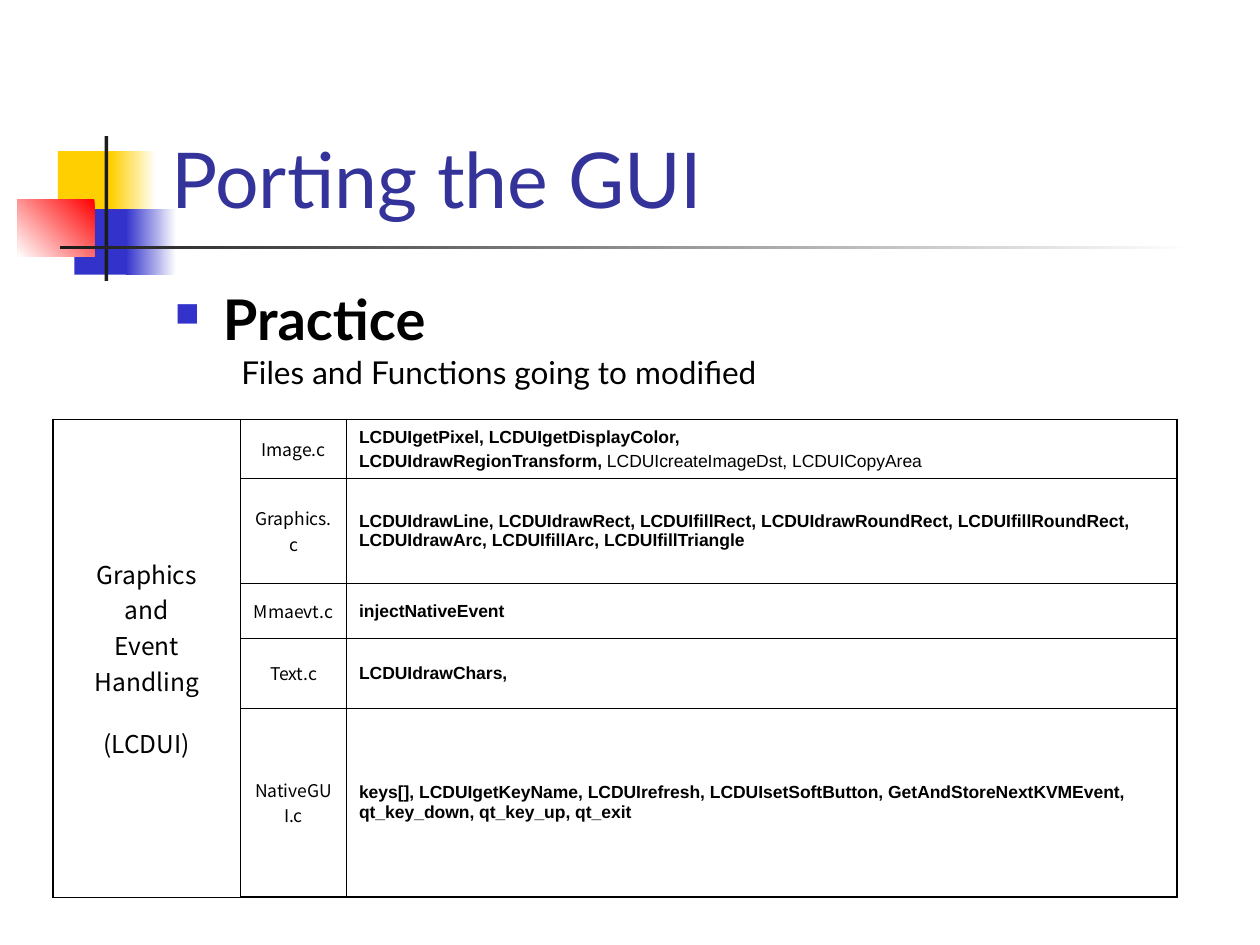
from collections import namedtuple

from lxml.etree import SubElement
from pptx import Presentation
from pptx.dml.color import RGBColor
from pptx.enum.shapes import MSO_SHAPE as Shape
from pptx.enum.text import MSO_ANCHOR as Anchor, MSO_AUTO_SIZE as AutoSize, PP_ALIGN as Align
from pptx.oxml.ns import qn
from pptx.util import Inches, Pt

WHITE = RGBColor(0xFF, 0xFF, 0xFF)
BLACK = RGBColor(0x00, 0x00, 0x00)
YELLOW = RGBColor(0xFF, 0xCF, 0x01)
BLUE = RGBColor(0x33, 0x33, 0xCC)
RED = RGBColor(0xFF, 0x00, 0x00)
CHARCOAL = RGBColor(0x1C, 0x1C, 0x1C)
INDIGO = RGBColor(0x33, 0x33, 0x99)

HEADING_FONT, FILE_FONT, CODE_FONT = "Lato", "Noto Sans CJK KR", "Arial"
CELL = Inches(0.1)
THIN, THICK = Pt(0.45), Pt(1.08)
Box = namedtuple("Box", "left top width height")

ORNAMENT = [
    (Box(3.2, 1.2, 4.8, 5.2), YELLOW, None),
    (Box(7.4, 1.2, 3.6, 5.2), (WHITE, YELLOW), 180),
    (Box(4.5, 5.8, 4.6, 5.2), BLUE, None),
    (Box(8.6, 5.8, 4, 5.2), (WHITE, BLUE), 180),
    (Box(0, 5, 6.1, 4.6), (RED, WHITE), 225),
    (Box(6.9, 0, 0.3, 11.5), CHARCOAL, None),
    (Box(3.4, 8.7, 90, 0.3), (WHITE, CHARCOAL), 180),
]
COLUMNS = [14.9, 8.4, 65.9]
ROWS = [4.7, 8.3, 4.4, 5.5, 15]
FILES = [
    ("Image.c", [[("LCDUIgetPixel, LCDUIgetDisplayColor,", True)],
                 [("LCDUIdrawRegionTransform, ", True),
                  ("LCDUIcreateImageDst, LCDUICopyArea", False)]]),
    ("Graphics.c", [[("LCDUIdrawLine, LCDUIdrawRect, LCDUIfillRect, LCDUIdrawRoundRect, "
                      "LCDUIfillRoundRect, LCDUIdrawArc, LCDUIfillArc, LCDUIfillTriangle", True)]]),
    ("Mmaevt.c", [[("injectNativeEvent", True)]]),
    ("Text.c", [[("LCDUIdrawChars,", True)]]),
    ("NativeGUI.c", [[("keys[], LCDUIgetKeyName, LCDUIrefresh, LCDUIsetSoftButton, "
                       "GetAndStoreNextKVMEvent,\vqt_key_down, qt_key_up, qt_exit", True)]]),
]


def to_emu(box):
    """Turn a box in grid cells into lengths."""
    return [round(side * CELL) for side in box]


def set_font(para, name, size, color=BLACK, bold=None):
    """Style a whole paragraph."""
    font = para.font
    font.name, font.size, font.bold = name, Pt(size), bold
    font.color.rgb = color


def add_ornament(page, box):
    """Place the coloured squares and bars from the corner of the box."""
    for part, color, angle in ORNAMENT:
        place = part._replace(left=box.left + part.left, top=box.top + part.top)
        block = page.shapes.add_shape(Shape.RECTANGLE, *to_emu(place))
        block.shadow.inherit = False
        block.line.fill.background()
        if angle is None:
            block.fill.solid()
            block.fill.fore_color.rgb = color
            continue
        block.fill.gradient()
        block.fill.gradient_angle = angle
        for stop, shade in zip(block.fill.gradient_stops, color):
            stop.color.rgb = shade


def add_text(page, box, text, size, color=BLACK, bold=None, anchor=Anchor.TOP):
    """Place one line of heading text and return its frame."""
    frame = page.shapes.add_textbox(*to_emu(box)).text_frame
    frame.word_wrap = True
    frame.vertical_anchor = anchor
    para = frame.paragraphs[0]
    para.text = text
    set_font(para, HEADING_FONT, size, color, bold)
    return frame


def add_bullet_text(page, box, text):
    """Place a bold line behind a square bullet."""
    para = add_text(page, box, text, 32, bold=True).paragraphs[0]
    para.space_before = Pt(8)
    props = para._p.get_or_add_pPr()
    props.set("marL", str(Inches(0.38)))
    props.set("indent", str(-Inches(0.38)))
    color = SubElement(props, qn("a:buClr"))
    SubElement(color, qn("a:srgbClr"), val=str(BLUE))
    SubElement(props, qn("a:buSzPct"), val="60000")
    SubElement(props, qn("a:buChar"), char="■")


def add_caption(page, box, text):
    """Place the centred line above the table."""
    frame = add_text(page, box, text, 18)
    frame.auto_size = AutoSize.SHAPE_TO_FIT_TEXT
    frame.paragraphs[0].alignment = Align.CENTER
    frame.paragraphs[0].space_before = Pt(11.2)


def style_cell(cell, row, column):
    """Clear the fill and rule the cell, thicker on the table's rim."""
    cell.vertical_anchor = Anchor.MIDDLE
    props = cell._tc.get_or_add_tcPr()
    rim = {"lnL": column == 0, "lnR": column == len(COLUMNS) - 1,
           "lnT": row == 0, "lnB": row == len(ROWS) - 1}
    for side, outer in rim.items():
        line = SubElement(props, qn(f"a:{side}"), w=str(THICK if outer else THIN))
        SubElement(SubElement(line, qn("a:solidFill")), qn("a:srgbClr"), val=str(BLACK))
    cell.fill.background()


def fill_cell(cell, lines, name, size, align, space=0):
    """Write lines of (text, bold) spans into a cell."""
    frame = cell.text_frame
    for index, line in enumerate(lines):
        para = frame.add_paragraph() if index else frame.paragraphs[0]
        para.alignment, para.space_before = align, Pt(space)
        set_font(para, name, size)
        for text, bold in line:
            for index, piece in enumerate(text.split("\v")):
                if index:
                    para.add_line_break()
                span = para.add_run()
                span.text = piece
                span.font.bold = bold


def add_file_table(page, box):
    """Place the table of files and functions."""
    grid = page.shapes.add_table(len(ROWS), len(COLUMNS), *to_emu(box)).table
    grid.first_row = grid.horz_banding = False
    for column, width in zip(grid.columns, COLUMNS):
        column.width = round(width * CELL)
    for row, height in zip(grid.rows, ROWS):
        row.height = round(height * CELL)
    for row in range(len(ROWS)):
        for column in range(len(COLUMNS)):
            style_cell(grid.cell(row, column), row, column)
    group = grid.cell(0, 0)
    group.merge(grid.cell(len(ROWS) - 1, 0))
    fill_cell(group, [[("Graphics\vand\vEvent Handling", False)], [("(LCDUI)", False)]],
              FILE_FONT, 14, Align.CENTER)
    group.text_frame.paragraphs[1].space_before = Pt(15.4)
    for row, (name, functions) in enumerate(FILES):
        fill_cell(grid.cell(row, 1), [[(name, False)]], FILE_FONT, 10, Align.CENTER, 2.5)
        fill_cell(grid.cell(row, 2), functions, CODE_FONT, 10, Align.LEFT, 2.5)


def main():
    """Build the slide and save it."""
    deck = Presentation()
    deck.slide_width, deck.slide_height = 100 * CELL, 75 * CELL
    page = deck.slides.add_slide(deck.slide_layouts[6])
    add_ornament(page, Box(1.4, 10.8, 93.4, 11.5))
    add_text(page, Box(12.6, 2.3, 85.2, 16), "Porting the GUI", 44, INDIGO, anchor=Anchor.BOTTOM)
    add_bullet_text(page, Box(12.9, 22.1, 41.7, 45), "Practice")
    add_file_table(page, Box(4.2, 33.3, sum(COLUMNS), sum(ROWS)))
    add_caption(page, Box(7.5, 27.5, 64.2, 4), "Files and Functions going to modified")
    deck.save("out.pptx")


if __name__ == "__main__":
    main()
